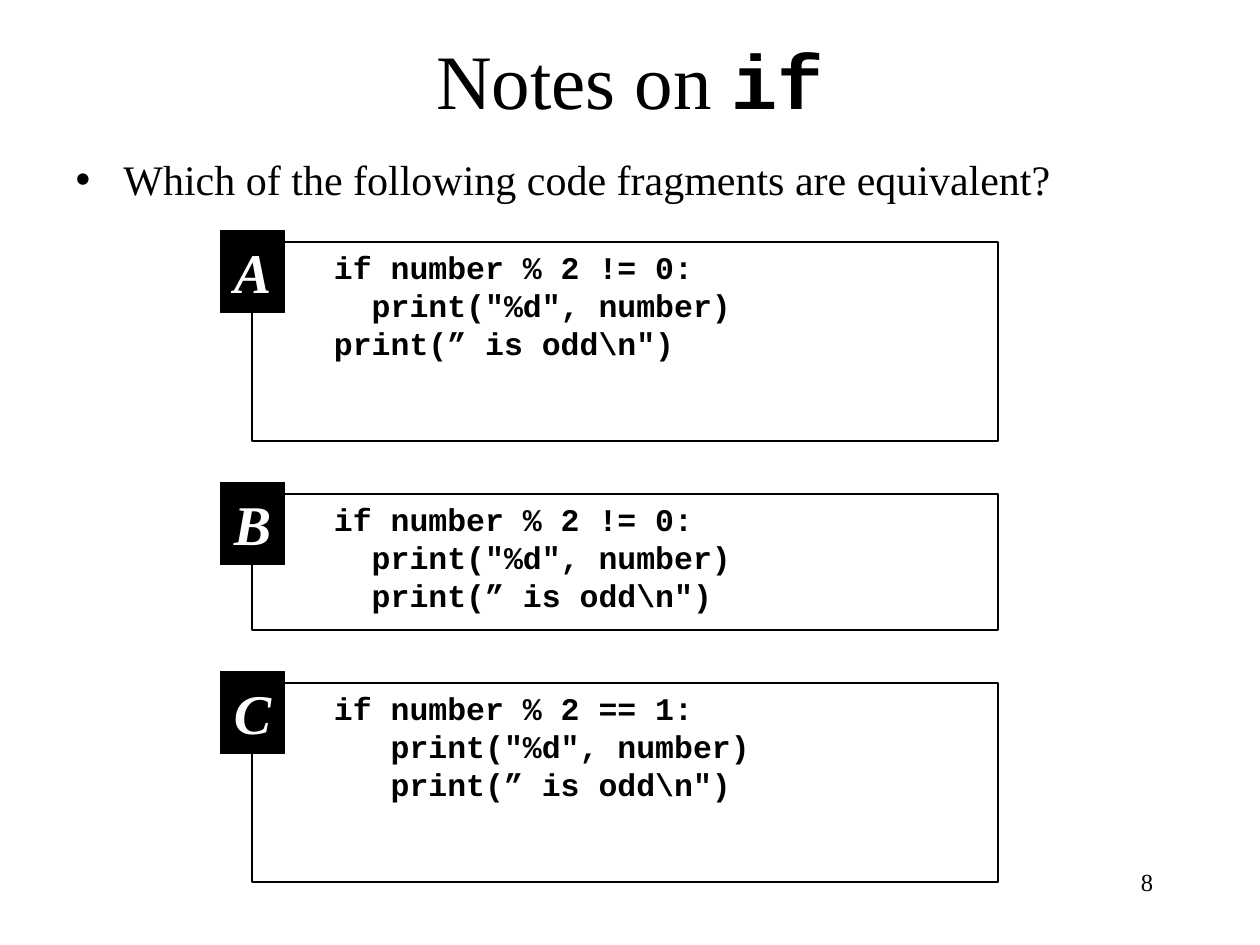
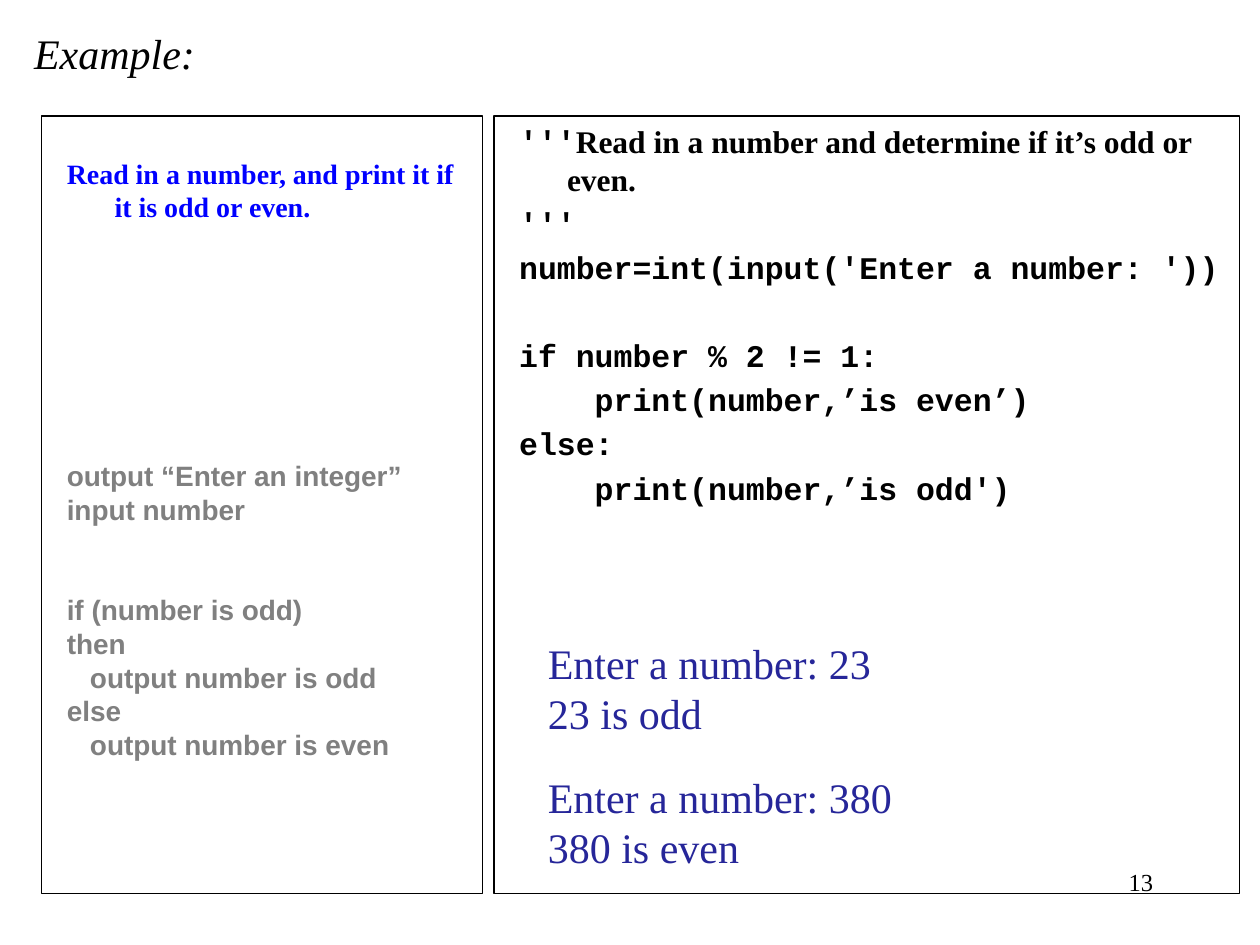
"""Build two lecture slides on the if statement: a code comparison and a worked example."""
from lxml import etree
from pptx import Presentation
from pptx.dml.color import RGBColor
from pptx.enum.shapes import MSO_SHAPE
from pptx.enum.text import MSO_ANCHOR, MSO_AUTO_SIZE, PP_ALIGN
from pptx.oxml.ns import qn
from pptx.util import Inches, Pt

BLACK = RGBColor(0, 0, 0)
WHITE = RGBColor(255, 255, 255)
BLUE = RGBColor(0, 0, 255)
GRAY = RGBColor(128, 128, 128)
INDIGO = RGBColor(0x26, 0x26, 0x99)
SERIF = "Times New Roman"
SANS = "Arial"
MONO = "Courier New"
LEFT, CENTER, RIGHT = PP_ALIGN.LEFT, PP_ALIGN.CENTER, PP_ALIGN.RIGHT
TOP, MIDDLE = MSO_ANCHOR.TOP, MSO_ANCHOR.MIDDLE
RECTANGLE = MSO_SHAPE.RECTANGLE
HANGING = 0.38


def place(shape, box, anchor=TOP, insets=(0.1, 0.05), outlined=False, fill=None):
    """Position a shape and set its frame, outline and fill."""
    shape.left, shape.top, shape.width, shape.height = [Inches(value) for value in box]
    frame = shape.text_frame
    frame.word_wrap = True
    frame.auto_size = MSO_AUTO_SIZE.NONE
    frame.vertical_anchor = anchor
    frame.margin_left, frame.margin_top = [Inches(value) for value in insets]
    frame.margin_right, frame.margin_bottom = Inches(0.1), Inches(0.05)
    if outlined:
        shape.line.color.rgb = BLACK
        shape.line.width = Pt(0.75)
        shape.shadow.inherit = False
        if fill is None:
            shape.fill.background()
        else:
            shape.fill.solid()
            shape.fill.fore_color.rgb = fill
    return frame


def write(frame, lines, font, size, color=BLACK, bold=False, italic=False,
          align=LEFT, hanging=0, bullet=None):
    """Append (text, space before) lines as paragraphs of one style."""
    for text, space in lines:
        first = frame.paragraphs[0]
        paragraph = first if not first.runs else frame.add_paragraph()
        properties = paragraph._p.get_or_add_pPr()
        properties.set("marL", str(Inches(hanging)))
        properties.set("indent", str(-Inches(hanging)))
        if bullet:
            etree.SubElement(properties, qn("a:buChar")).set("char", bullet)
        else:
            etree.SubElement(properties, qn("a:buNone"))
        paragraph.alignment = align
        paragraph.space_before = Pt(space)
        paragraph.font.name = font
        paragraph.font.size = Pt(size)
        paragraph.font.color.rgb = color
        paragraph.font.bold = bold
        paragraph.font.italic = italic
        paragraph.add_run().text = text


presentation = Presentation()
presentation.slide_width = Inches(10)
presentation.slide_height = Inches(7.5)
layout = presentation.slide_layouts[1]
notes_slide = presentation.slides.add_slide(layout)
example_slide = presentation.slides.add_slide(layout)

for slide, number in ((notes_slide, "8"), (example_slide, "13")):
    number_box = slide.shapes.add_textbox(0, 0, 0, 0)
    frame = place(number_box, (7.17, 6.83, 2.08, 0.5))
    write(frame, [(number, 0)], SERIF, 14, align=RIGHT)

frame = place(notes_slide.shapes.title, (0.75, 0, 8.5, 1.25), MIDDLE)
write(frame, [("Notes on ", 0)], SERIF, 44, align=CENTER)
keyword = frame.paragraphs[0].add_run()
keyword.text = "if"
keyword.font.name = MONO
keyword.font.bold = True

frame = place(notes_slide.placeholders[1], (0.5, 1.17, 9.25, 0.75))
write(frame, [("Which of the following code fragments are equivalent?", 0)],
      SERIF, 24, hanging=HANGING, bullet="•")

fragments = [
    ("A", 1.58, ["   if number % 2 != 0:",
                 "     print(\"%d\", number)",
                 "   print(” is odd\\n\")"]),
    ("B", 1.08, ["   if number % 2 != 0:",
                 "     print(\"%d\", number)",
                 "     print(” is odd\\n\")"]),
    ("C", 1.58, ["   if number % 2 == 1:",
                 "      print(\"%d\", number)",
                 "      print(” is odd\\n\")"]),
]
fragment_top = 1.92
for letter, height, code in fragments:
    panel = notes_slide.shapes.add_shape(RECTANGLE, 0, 0, 0, 0)
    frame = place(panel, (2, fragment_top, 5.92, height), insets=(0.2, 0.05), outlined=True)
    write(frame, [(line, 0) for line in code], MONO, 18, bold=True, hanging=HANGING)

    badge = notes_slide.shapes.add_shape(RECTANGLE, 0, 0, 0, 0)
    frame = place(badge, (1.75, fragment_top - 0.09, 0.51, 0.65), MIDDLE,
                  outlined=True, fill=BLACK)
    frame.word_wrap = False
    write(frame, [(letter, 0)], SERIF, 32, WHITE, bold=True, italic=True, align=CENTER)
    fragment_top += height + 0.42

frame = place(example_slide.shapes.title, (0.17, 0.17, 4.92, 0.5))
write(frame, [("Example:", 0)], SERIF, 24, italic=True)

frame = place(example_slide.placeholders[1], (0.33, 0.92, 3.5, 6.17),
              insets=(0.2, 0.32), outlined=True)
write(frame, [("Read in a number, and print it if it is odd or even.", 0)],
      SERIF, 16, BLUE, bold=True, hanging=HANGING)
pseudocode = [
    ("output “Enter an integer”", 134.4),
    ("input number", 0),
    ("if (number is odd)", 38.4),
    ("then", 0),
    ("   output number is odd", 0),
    ("else", 0),
    ("   output number is even", 0),
]
write(frame, pseudocode, SANS, 16, GRAY, bold=True, hanging=HANGING)

program_panel = example_slide.shapes.add_shape(RECTANGLE, 0, 0, 0, 0)
frame = place(program_panel, (3.92, 0.92, 5.92, 6.17), insets=(0.2, 0.05), outlined=True)
program = [
    ("'''", 0),
    ("'''", 3.6),
    ("number=int(input('Enter a number: '))", 3.6),
    ("if number % 2 != 1:", 28.8),
    ("    print(number,’is even’)", 3.6),
    ("else:", 3.6),
    ("    print(number,’is odd')", 3.6),
]
write(frame, program, MONO, 18, bold=True, hanging=HANGING)
docstring = frame.paragraphs[0].add_run()
docstring.text = "Read in a number and determine if it’s odd or even."
docstring.font.name = SERIF

sessions = [
    (5.01, ["Enter a number: 23", "23 is odd"]),
    (6.07, ["Enter a number: 380", "380 is even"]),
]
for session_top, session in sessions:
    session_box = example_slide.shapes.add_textbox(0, 0, 0, 0)
    frame = place(session_box, (4.25, session_top, 5, 0.91))
    write(frame, [(line, 0) for line in session], SERIF, 24, INDIGO)

presentation.save("out.pptx")
